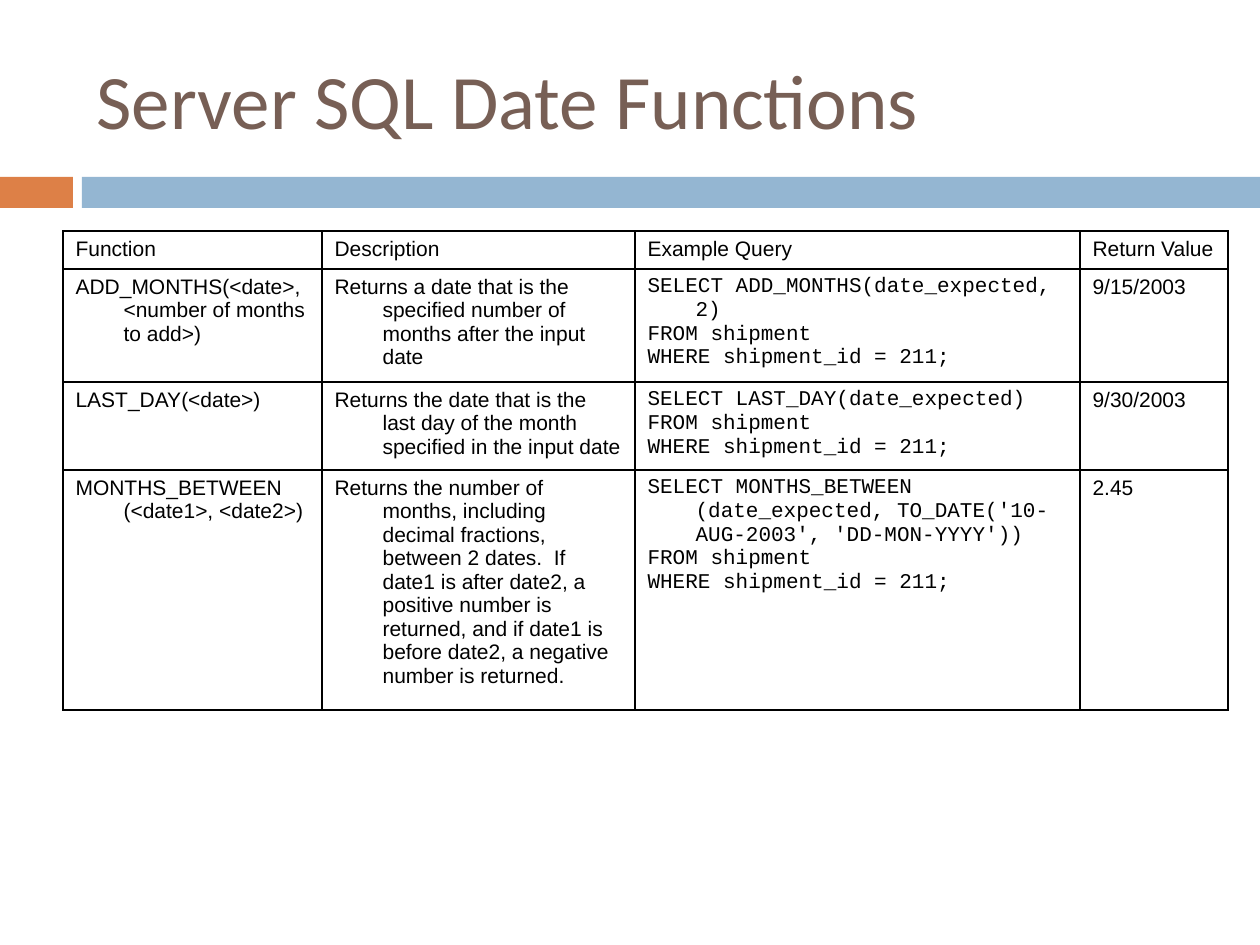
from dataclasses import dataclass

import pptx
import pptx.dml.color
import pptx.enum.shapes
import pptx.enum.text
import pptx.oxml.ns
import pptx.util
from lxml import etree

PX_PER_INCH = 126
BLACK = "000000"
BODY_FONT, CODE_FONT = "Arial", "Courier New"
HANGING_INDENT, TAB_STOP = 48, 278
COLUMN_WIDTHS = (259, 313, 445, 148)
ROW_HEIGHTS = (38, 113, 88, 240)
HEADINGS = ("Function", "Description", "Example Query", "Return Value")


@dataclass(frozen=True)
class Band:
    left: int
    width: int
    color: str


@dataclass(frozen=True)
class DateFunction:
    signature: str
    description: str
    selection: str
    result: str

    def query(self) -> list[str]:
        return [f"SELECT {self.selection}", "FROM shipment",
                "WHERE shipment_id = 211;"]


BANDS = (Band(0, 73, "DD8047"), Band(82, 1178, "94B6D2"))
FUNCTIONS = (
    DateFunction(
        "ADD_MONTHS(<date>, <number of months to add>)",
        "Returns a date that is the specified number of months after the input date",
        "ADD_MONTHS(date_expected, 2)", "9/15/2003"),
    DateFunction(
        "LAST_DAY(<date>)",
        "Returns the date that is the last day of the month specified in the input date",
        "LAST_DAY(date_expected)", "9/30/2003"),
    DateFunction(
        "MONTHS_BETWEEN (<date1>, <date2>)",
        "Returns the number of months, including decimal fractions, between 2 dates.  "
        "If date1 is after date2, a positive number is returned, and if date1 is "
        "before date2, a negative number is returned.",
        "MONTHS_BETWEEN (date_expected, TO_DATE('10-AUG-2003', 'DD-MON-YYYY'))", "2.45"),
)


def px(length: int) -> pptx.util.Emu:
    return pptx.util.Emu(round(length * 914400 / PX_PER_INCH))


def rgb(color: str) -> pptx.dml.color.RGBColor:
    return pptx.dml.color.RGBColor.from_string(color)


def add_child(parent, tag: str, **attributes):
    return etree.SubElement(parent, pptx.oxml.ns.qn(tag), attributes)


def add_span(para, text: str, font: str, size: int, color: str) -> None:
    span = para.add_run()
    span.text = text
    span.font.name = font
    span.font.size = pptx.util.Pt(size)
    span.font.color.rgb = rgb(color)


def draw_band(page, band: Band) -> None:
    box = page.shapes.add_shape(
        pptx.enum.shapes.MSO_SHAPE.RECTANGLE,
        px(band.left), px(177), px(band.width), px(31))
    box.shadow.inherit = False
    box.fill.solid()
    box.fill.fore_color.rgb = rgb(band.color)
    box.line.fill.background()


def draw_title(page, text: str) -> None:
    title = page.shapes.title
    title.left, title.top, title.width, title.height = px(84), px(31), px(1124), px(136)
    title.text_frame.vertical_anchor = pptx.enum.text.MSO_ANCHOR.MIDDLE
    para = title.text_frame.paragraphs[0]
    para.alignment = pptx.enum.text.PP_ALIGN.LEFT
    add_span(para, text, "Calibri", 44, "775F55")


def add_borders(cell) -> None:
    properties = cell._tc.get_or_add_tcPr()
    for side in ("a:lnL", "a:lnR", "a:lnT", "a:lnB"):
        line = add_child(properties, side, w=str(pptx.util.Pt(1)))
        add_child(add_child(line, "a:solidFill"), "a:srgbClr", val=BLACK)


def fill_cell(cell, lines: list[str], font: str) -> None:
    add_borders(cell)
    cell.fill.background()
    frame = cell.text_frame
    for index, line in enumerate(lines):
        para = frame.add_paragraph() if index else frame.paragraphs[0]
        properties = para._p.get_or_add_pPr()
        properties.set("marL", str(px(HANGING_INDENT)))
        properties.set("indent", str(-px(HANGING_INDENT)))
        tabs = add_child(properties, "a:tabLst")
        add_child(tabs, "a:tab", pos=str(px(TAB_STOP)), algn="l")
        add_span(para, line, font, 12, BLACK)


def draw_table(page, functions: tuple[DateFunction, ...]) -> None:
    table = page.shapes.add_table(
        len(ROW_HEIGHTS), len(COLUMN_WIDTHS), px(63), px(231),
        px(sum(COLUMN_WIDTHS)), px(sum(ROW_HEIGHTS))).table
    table.first_row = table.horz_banding = False
    for column, width in zip(table.columns, COLUMN_WIDTHS):
        column.width = px(width)
    for row, height in zip(table.rows, ROW_HEIGHTS):
        row.height = px(height)

    # Heading row
    for column, heading in enumerate(HEADINGS):
        fill_cell(table.cell(0, column), [heading], BODY_FONT)

    # One row for each function
    for row, function in enumerate(functions, start=1):
        fill_cell(table.cell(row, 0), [function.signature], BODY_FONT)
        fill_cell(table.cell(row, 1), [function.description], BODY_FONT)
        fill_cell(table.cell(row, 2), function.query(), CODE_FONT)
        fill_cell(table.cell(row, 3), [function.result], BODY_FONT)


def main() -> None:
    deck = pptx.Presentation()
    deck.slide_width, deck.slide_height = px(1260), px(945)
    page = deck.slides.add_slide(deck.slide_layouts.get_by_name("Title Only"))
    for band in BANDS:
        draw_band(page, band)
    draw_title(page, "Server SQL Date Functions")
    draw_table(page, FUNCTIONS)
    deck.save("out.pptx")


if __name__ == "__main__":
    main()
